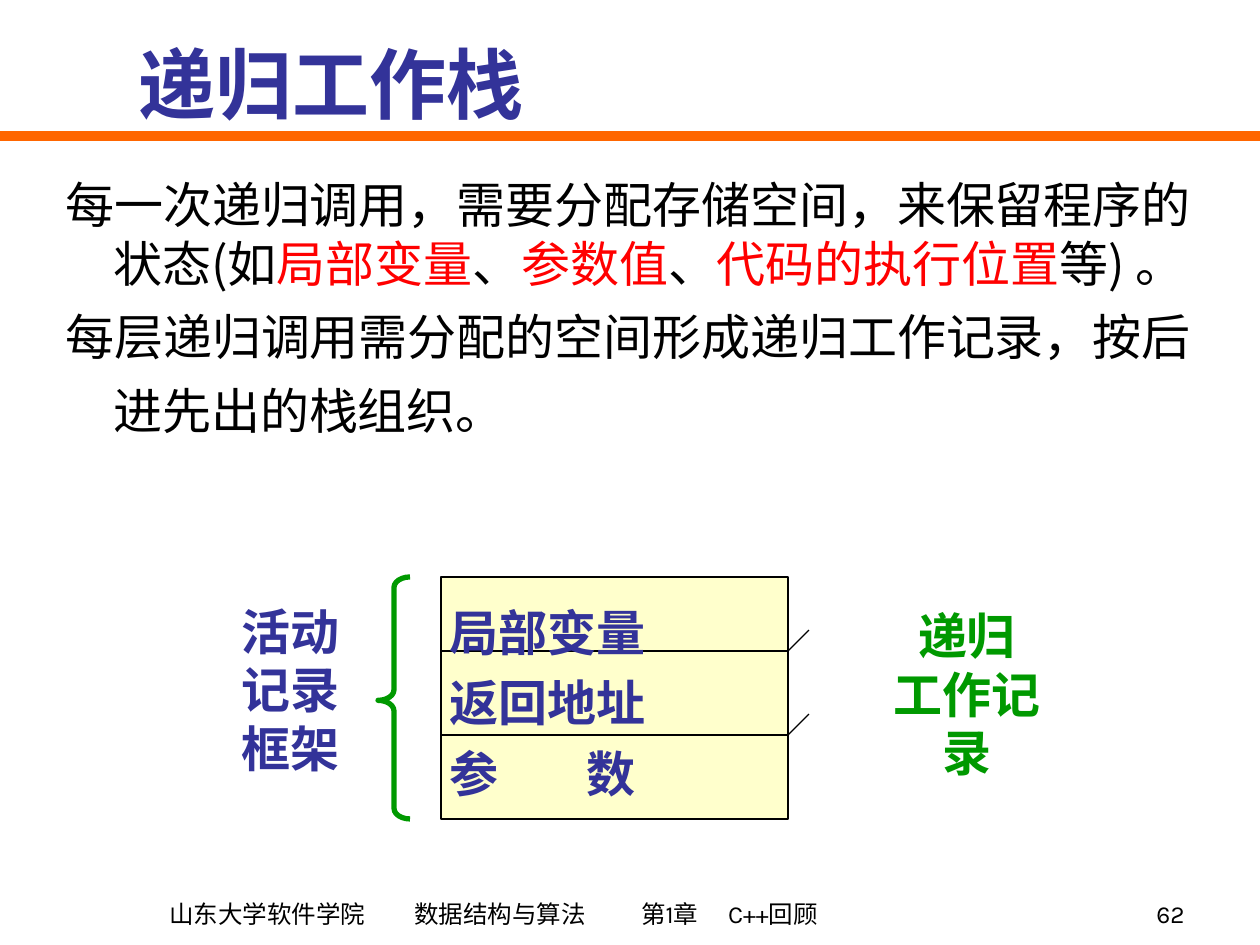
from pptx import Presentation, util as u
from pptx.dml.color import RGBColor
from pptx.enum import shapes, text
from pptx.oxml.ns import qn
from lxml import etree

PX = 914400 / 126
C = {"orange": "FF6600", "blue": "333399", "black": "000000",
     "red": "FF0000", "cream": "FFFFCC", "green": "009900"}

prs = Presentation()
prs.slide_width, prs.slide_height = u.Inches(10), u.Inches(7.5)
s = prs.slides.add_slide(prs.slide_layouts[6])


def add_line(x1, y1, x2, y2, color="black", width=0.75):
    ln = s.shapes.add_connector(shapes.MSO_CONNECTOR.STRAIGHT,
                                *(round(v * PX) for v in (x1, y1, x2, y2)))
    ln.line.color.rgb = RGBColor.from_string(C[color])
    ln.line.width = u.Pt(width)
    etree.SubElement(ln._element.spPr, qn("a:effectLst"))


def add_text(box, lines, size, font, color, bold=False, align="LEFT",
             anchor="TOP", wrap=True, tabs=()):
    tf = s.shapes.add_textbox(*(round(v * PX) for v in box)).text_frame
    tf.word_wrap = wrap
    tf.vertical_anchor = getattr(text.MSO_ANCHOR, anchor)
    for i, line in enumerate(lines):
        p = tf.paragraphs[0] if i == 0 else tf.add_paragraph()
        p.text = line
        p.alignment = getattr(text.PP_ALIGN, align)
        if "\t" in line:
            tab_list = etree.SubElement(p._p.get_or_add_pPr(), qn("a:tabLst"))
            for x in tabs:
                etree.SubElement(tab_list, qn("a:tab"),
                                 pos=str(round(x * PX)), algn="l")
        for r in p.runs:
            r.font.size, r.font.name, r.font.bold = u.Pt(size), font, bold
            r.font.color.rgb = RGBColor.from_string(C[color])
    return tf


# Title and rule
add_line(0, 136, 1260, 136, "orange", 6)
add_text((126, 0, 1074, 135), ["递归工作栈"], 44, "Karla", "blue",
         bold=True, anchor="BOTTOM")

# Body: the first paragraph gets its coloured runs afterwards
tf = add_text((53, 168, 1182, 677),
              ["", "每层递归调用需分配的空间形成递归工作记录，按后进先出的栈组织。"],
              28, "Noto Sans CJK SC", "black")
intro, stack = tf.paragraphs
for words, font, color in [
        ("每一次递归调用，需要分配", "Noto Sans CJK SC", "black"),
        ("存储空间，来保留", "Karla", "black"),
        ("程序的状态(如", "Noto Sans CJK SC", "black"),
        ("局部变量", "Noto Sans CJK SC", "red"),
        ("、", "Noto Sans CJK SC", "black"),
        ("参数值", "Noto Sans CJK SC", "red"),
        ("、", "Noto Sans CJK SC", "black"),
        ("代码的执行位置", "Noto Sans CJK SC", "red"),
        ("等) ", "Noto Sans CJK SC", "black"),
        ("。", "Karla", "black")]:
    r = intro.add_run()
    r.text = words
    r.font.size, r.font.name = u.Pt(28), font
    r.font.color.rgb = RGBColor.from_string(C[color])
stack.line_spacing = 1.25
for p in tf.paragraphs:
    pPr = p._p.get_or_add_pPr()
    pPr.set("marL", str(round(48 * PX)))
    pPr.set("indent", str(round(-48 * PX)))

# Record box with dividers and ticks
sp = s.shapes.add_shape(shapes.MSO_SHAPE.RECTANGLE,
                        *(round(v * PX) for v in (441, 577, 347, 242)))
sp.shadow.inherit = False
sp.fill.solid()
sp.fill.fore_color.rgb = RGBColor.from_string(C["cream"])
sp.line.color.rgb = RGBColor.from_string(C["black"])
sp.line.width = u.Pt(0.75)
for y in (651, 735):
    add_line(441, y, 788, y)
    add_line(788, y, 809, y - 21)
tf = add_text((437, 590, 319, 219), ["局部变量", "返回地址", "参\t数"], 28,
              "Times New Roman", "blue", bold=True, wrap=False, tabs=[137])
for i, p in enumerate(tf.paragraphs):
    p.line_spacing = 1.1
    p.space_before = u.Pt(3.5 if i else 0)

# Brace
brace = s.shapes.add_shape(shapes.MSO_SHAPE.LEFT_BRACE,
                           *(round(v * PX) for v in (378, 577, 32, 242)))
brace.shadow.inherit = False
brace.adjustments[0], brace.adjustments[1] = 0.33, 0.51
brace.fill.background()
brace.line.color.rgb = RGBColor.from_string(C["green"])
brace.line.width = u.Pt(3)

# Side labels
add_text((229, 595, 149, 189), ["活动记录框架"], 28, "Times New Roman",
         "blue", bold=True)
add_text((857, 599, 220, 131), ["递归", "工作记录"], 28, "Times New Roman",
         "green", bold=True, align="CENTER", wrap=False)

# Footer and page number
tf = add_text((64, 872, 863, 63),
              ["山东大学软件学院\t数据结构与算法\t第1章\tC++回顾"], 14, "Karla",
              "black", anchor="BOTTOM", tabs=[245, 472, 559])
tf.margin_left = round(105 * PX)
add_text((935, 872, 262, 63), ["62"], 14, "Karla", "black",
         align="RIGHT", anchor="BOTTOM")

prs.save("out.pptx")
